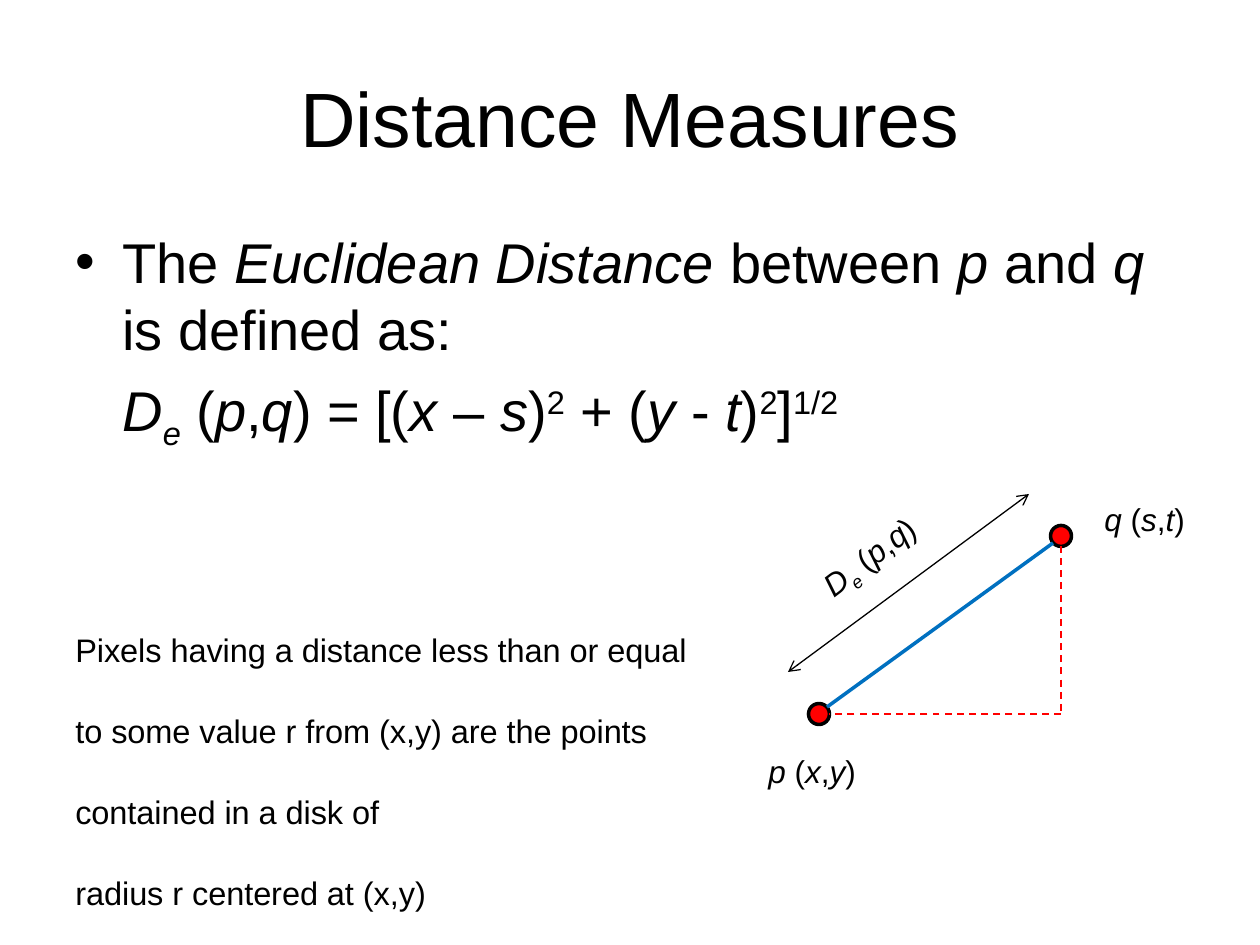
from lxml.etree import SubElement
from pptx import Presentation
from pptx.dml.color import RGBColor
from pptx.enum.dml import MSO_LINE
from pptx.enum.shapes import MSO_CONNECTOR as CONNECTOR, MSO_SHAPE as SHAPE
from pptx.enum.text import MSO_ANCHOR as ANCHOR, PP_ALIGN as ALIGN
from pptx.oxml.ns import qn
from pptx.util import Emu, Pt

BLACK = RGBColor(0x00, 0x00, 0x00)
RED = RGBColor(0xFF, 0x00, 0x00)
BLUE = RGBColor(0x00, 0x70, 0xC0)
FONT = "Arial"
SCALE = 914400 / 126
HANG = 47
DOT = 21
BASELINES = {"sub": -25000, "sup": 30000}


def px(n):
    """Turn picture pixels into EMU."""
    return Emu(round(n * SCALE))


def parse_markup(text):
    """Yield (text, italic, level): * toggles italics, _ subscript, ^ superscript."""
    italic, level, part = False, None, ""
    for ch in text:
        if ch not in "*_^":
            part += ch
            continue
        if part:
            yield part, italic, level
        part = ""
        if ch == "*":
            italic = not italic
        else:
            level = None if level else {"_": "sub", "^": "sup"}[ch]
    if part:
        yield part, italic, level


def add_paragraph(p, text, size=18, align=ALIGN.LEFT, before=0, margin=0, bullet=None):
    """Fill one paragraph from marked-up text."""
    p.alignment = align
    p.space_before = Pt(before)
    pPr = p._p.get_or_add_pPr()
    pPr.set("marL", str(px(margin)))
    pPr.set("indent", str(px(-margin if bullet else 0)))
    if bullet:
        SubElement(pPr, qn("a:buFont"), typeface=FONT)
        SubElement(pPr, qn("a:buChar"), char=bullet)
    else:
        SubElement(pPr, qn("a:buNone"))
    for part, italic, level in parse_markup(text):
        r = p.add_run()
        r.text = part
        r.font.name, r.font.size, r.font.italic = FONT, Pt(size), italic
        r.font.color.rgb = BLACK
        if level:
            r.font._element.set("baseline", str(BASELINES[level]))


def add_text(s, box, paragraphs, anchor=ANCHOR.TOP, rotation=0, **fmt):
    """Add a text box; each paragraph is (text, its own format)."""
    sp = s.shapes.add_textbox(*map(px, box))
    sp.rotation = rotation
    tf = sp.text_frame
    tf.word_wrap = True
    tf.vertical_anchor = anchor
    for i, (text, own) in enumerate(paragraphs):
        p = tf.add_paragraph() if i else tf.paragraphs[0]
        add_paragraph(p, text, **{**fmt, **own})
    return sp


def add_dot(s, x, y):
    """Add a red point centred at x, y."""
    sp = s.shapes.add_shape(SHAPE.OVAL, px(x - DOT / 2), px(y - DOT / 2), px(DOT), px(DOT))
    sp.shadow.inherit = False
    sp.fill.solid()
    sp.fill.fore_color.rgb = RED
    sp.line.color.rgb = BLACK
    sp.line.width = Pt(2)


def add_line(s, start, end, color, width, dash=None, arrows=False):
    """Add a straight line, with open arrowheads at both ends if asked."""
    cn = s.shapes.add_connector(CONNECTOR.STRAIGHT, *map(px, (*start, *end)))
    cn.line.color.rgb = color
    cn.line.width = Pt(width)
    if dash:
        cn.line.dash_style = dash
    if arrows:
        ln = cn.line._get_or_add_ln()
        for end_tag in ("a:headEnd", "a:tailEnd"):
            SubElement(ln, qn(end_tag), type="arrow")
    SubElement(cn._element.spPr, qn("a:effectLst"))


def add_diagram(s):
    """Draw points p and q, their distance and its two components."""
    p, q, corner = (819, 714), (1061, 536), (1061, 714)
    add_dot(s, *p)
    add_dot(s, *q)
    add_line(s, (827, 707), (1053, 543), BLUE, 2)
    add_line(s, (788, 672), (1029, 494), BLACK, 0.75, arrows=True)
    add_text(s, (804, 529, 136, 55), [("*D_e_* (*p*,*q*)", {})], rotation=322.6)
    add_text(s, (756, 746, 136, 50), [("*p* (*x*,*y*)", {})])
    add_text(s, (1092, 494, 136, 50), [("*q* (*s*,*t*)", {})])
    for start, end in (((1061, 546), corner), (corner, (829, 714))):
        add_line(s, start, end, RED, 1, dash=MSO_LINE.DASH)


def main():
    """Build the slide and save it."""
    prs = Presentation()
    prs.slide_width, prs.slide_height = px(1260), px(945)
    s = prs.slides.add_slide(prs.slide_layouts[6])
    add_text(s, (63, 38, 1134, 158), [("Distance Measures", {})],
             anchor=ANCHOR.MIDDLE, size=44, align=ALIGN.CENTER)
    note = ("Pixels having a distance less than or equal",
            "to some value r from (x,y) are the points",
            "contained in a disk of",
            "radius r centered at (x,y)")
    body = [
        ("The *Euclidean Distance* between *p* and *q* is defined as:",
         {"margin": HANG, "bullet": "\u2022"}),
        ("*D_e_* (*p*,*q*) = [(*x* \u2013 *s*)^2^ + (*y* - *t*)^2^]^1/2^",
         {"margin": HANG}),
    ]
    body += [(f"^{line}^", {} if i else {"before": 97.6}) for i, line in enumerate(note)]
    add_text(s, (63, 221, 1134, 651), body, size=32, before=8)
    add_diagram(s)
    prs.save("out.pptx")


main()
